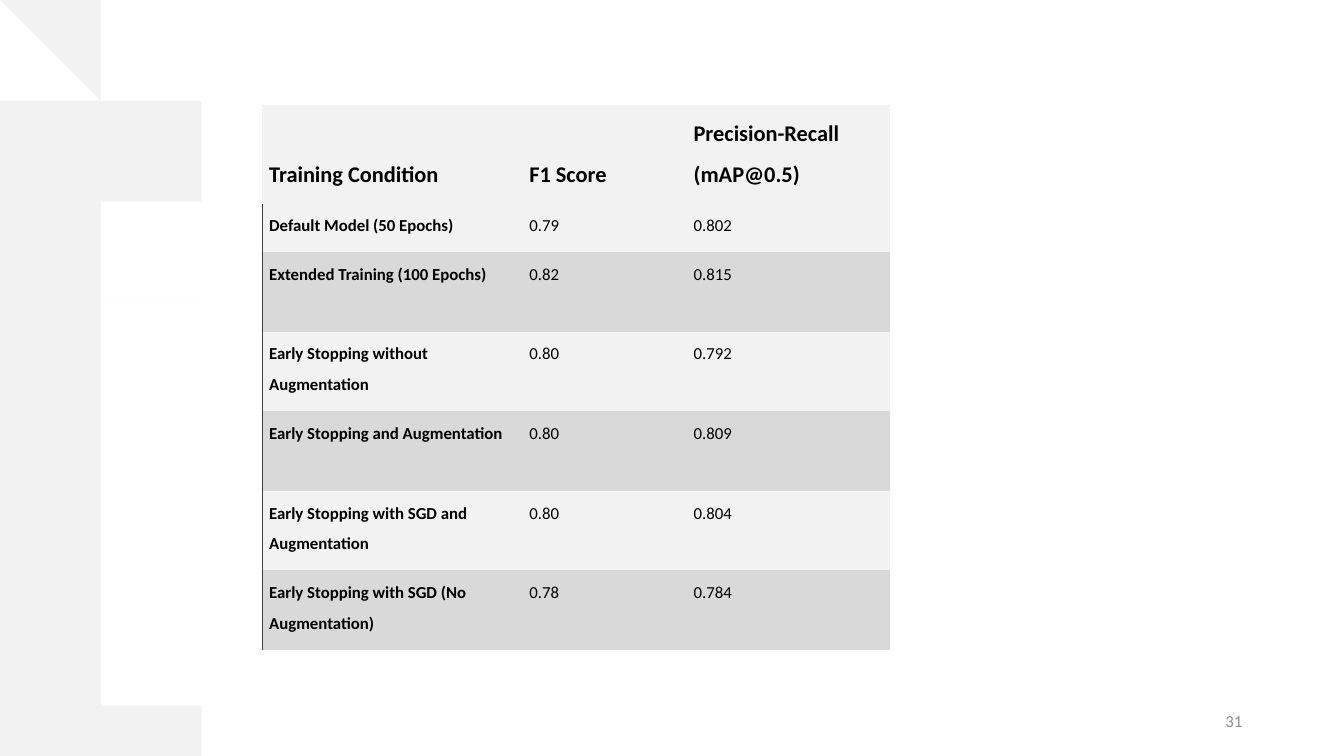
from pptx import Presentation
from pptx.dml.color import RGBColor as Rgb
from pptx.enum.text import MSO_ANCHOR as Anchor, PP_ALIGN as Align
from pptx.oxml import parse_xml
from pptx.oxml.ns import nsdecls
from pptx.util import Inches as In, Pt

HUES = {"brush": "E7E6E6", "light": "F2F2F2", "band": "D9D9D9",
        "text": "000000", "rule": "404040", "page": "8C8C8C"}
FONT = "Calibri"
PLAIN = "{2D5ABB26-0587-4C30-8999-92F81FD0307C}"
COLS = (2.58, 1.63, 2.02)
ROWS = (0.98, 0.48) + (0.79,) * 5
DATA = (
    ("Training Condition", "F1 Score", "Precision-Recall (mAP@0.5)"),
    ("Default Model (50 Epochs)", "0.79", "0.802"),
    ("Extended Training (100 Epochs)", "0.82", "0.815"),
    ("Early Stopping without Augmentation", "0.80", "0.792"),
    ("Early Stopping and Augmentation", "0.80", "0.809"),
    ("Early Stopping with SGD and Augmentation", "0.80", "0.804"),
    ("Early Stopping with SGD (No Augmentation)", "0.78", "0.784"),
)
EDGE = (
    (1.51, 0), (1.85, 0.12), (1.46, 0.1), (1.6, 0.21), (1.8, 0.41),
    (1.45, 0.43), (1.26, 0.37), (1.26, 0.53), (1.49, 0.61), (1.07, 0.57),
    (0.37, 0.51), (1.39, 1), (1.28, 1.08), (1.66, 1.3), (1.5, 1.35),
    (1.53, 1.49), (1.94, 1.75), (1.78, 1.81), (1.95, 2.02), (2.12, 2.2),
    (1.71, 2.27), (2.1, 2.42), (0.84, 2.07), (1.36, 2.4), (1.6, 2.63),
    (1.93, 2.75), (1.64, 2.76), (1.1, 2.79), (1.02, 2.96), (0.55, 3.22),
    (1.15, 3.64), (0.75, 3.53), (0.69, 3.71), (0.97, 4.05), (0.92, 4.5),
    (0.73, 4.6), (0.7, 4.83), (0.39, 4.79), (0.73, 5.05), (0.37, 5.03),
    (1.03, 5.64), (0.63, 5.46), (1.15, 5.99), (1.34, 6.33), (1.11, 6.29),
    (1.69, 6.78), (1.09, 6.65), (1.45, 6.96), (1.58, 7.03), (2.17, 7.5),
)


def style(para, size, hue, bold=False):
    """Format every run of a paragraph."""
    for run in para.runs:
        font = run.font
        font.name, font.size, font.bold = FONT, Pt(size), bold
        font.color.rgb = Rgb.from_string(HUES[hue])


def blend(a, b, c, d, t, pull=0.3):
    """Return one coordinate on the smooth curve from b to c."""
    u = 1 - t
    near, far = pull * (c - a), pull * (d - b)
    return (b * u * u * (1 + 2 * t) + c * t * t * (1 + 2 * u)
            + near * t * u * u - far * t * t * u)


def trace(pts, steps=6):
    """Return points along a smooth curve through the given ones."""
    ends = [pts[0], *pts, pts[-1]]
    runs = zip(ends, ends[1:], ends[2:], ends[3:])
    return [tuple(blend(*axis, step / steps) for axis in zip(*run))
            for run in runs for step in range(steps)] + [pts[-1]]


def brush(slide, left, top, high):
    """Draw the ragged brush edge, scaled to the given height."""
    pts = trace(EDGE) + [(0, 7.5), (0, 0)]
    pen = slide.shapes.build_freeform(0, 0, scale=In(high) / 7.5)
    pen.add_line_segments(pts, close=True)
    shape = pen.convert_to_shape(In(left), In(top))
    shape.shadow.inherit = False
    shape.fill.solid()
    shape.fill.fore_color.rgb = Rgb.from_string(HUES["brush"])
    shape.line.fill.background()
    tint = shape.element.spPr.find(".//{*}solidFill/{*}srgbClr")
    tint.append(parse_xml(f'<a:alpha {nsdecls("a")} val="50000"/>'))


def rule(cell):
    """Give a cell its left border."""
    cell._tc.get_or_add_tcPr().insert(0, parse_xml(
        f'<a:lnL {nsdecls("a")} w="12700"><a:solidFill>'
        f'<a:srgbClr val="{HUES["rule"]}"/></a:solidFill></a:lnL>'))


def fill(cell, text, row, col):
    """Write and format one table cell."""
    head = row == 0
    cell.text_frame.text = text
    cell.margin_left, cell.margin_top = In(0.07), In(0.02)
    cell.margin_right, cell.margin_bottom = In(0.04), In(0.15)
    cell.vertical_anchor = Anchor.BOTTOM if head else Anchor.TOP
    cell.fill.solid()
    hue = "band" if row and row % 2 == 0 else "light"
    cell.fill.fore_color.rgb = Rgb.from_string(HUES[hue])
    para = cell.text_frame.paragraphs[0]
    para.line_spacing = 1.5
    style(para, 16 if head else 12, "text", head or col == 0)
    if col == 0 and not head:
        rule(cell)


def scores(slide, left, top):
    """Add the table of training scores."""
    frame = slide.shapes.add_table(len(ROWS), len(COLS), In(left), In(top),
                                   In(sum(COLS)), In(sum(ROWS)))
    frame.element.find(".//{*}tableStyleId").text = PLAIN
    table = frame.table
    table.horz_banding = False
    for col, wide in zip(table.columns, COLS):
        col.width = In(wide)
    for r, (row, high) in enumerate(zip(table.rows, ROWS)):
        row.height = In(high)
        for c, text in enumerate(DATA[r]):
            fill(table.cell(r, c), text, r, c)


def page(slide, left, top, wide, high):
    """Add the page number."""
    frame = slide.shapes.add_textbox(In(left), In(top), In(wide), In(high)).text_frame
    frame.word_wrap = True
    frame.vertical_anchor = Anchor.MIDDLE
    frame.text = "31"
    para = frame.paragraphs[0]
    para.alignment = Align.RIGHT
    para.space_after = Pt(6)
    style(para, 12, "page")


def main():
    """Build and save the slide."""
    deck = Presentation()
    deck.slide_width, deck.slide_height = In(13.33), In(7.5)
    slide = deck.slides.add_slide(deck.slide_layouts[6])
    brush(slide, 0, 0, 7.5)
    page(slide, 9.42, 6.95, 3, 0.4)
    scores(slide, 2.6, 1.04)
    deck.save("out.pptx")


if __name__ == "__main__":
    main()
